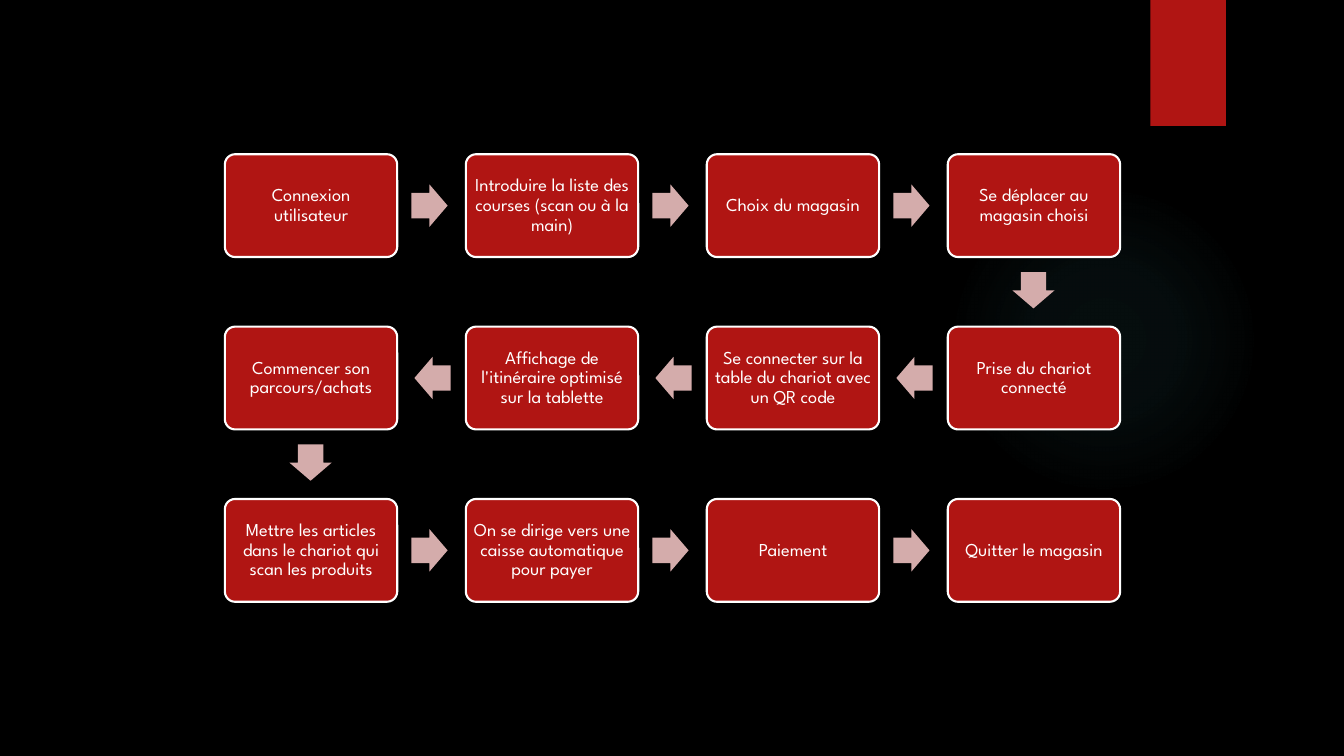
from lxml.etree import SubElement
from pptx import Presentation
from pptx.dml.color import RGBColor
from pptx.enum.shapes import MSO_SHAPE as Preset
from pptx.enum.text import MSO_ANCHOR as Anchor, PP_ALIGN as Align
from pptx.oxml import parse_xml
from pptx.oxml.ns import nsdecls, qn
from pptx.util import Inches, Pt

RED, PINK, WHITE, TEAL = "B01513", "D4ACAB", "FFFFFF", "50B9C1"
STEPS = [
    "Connexion utilisateur",
    "Introduire la liste des courses (scan ou à la main)",
    "Choix du magasin",
    "Se déplacer au magasin choisi",
    "Prise du chariot connecté",
    "Se connecter sur la table du chariot avec un QR code",
    "Affichage de l'itinéraire optimisé sur la tablette",
    "Commencer son parcours/achats",
    "Mettre les articles dans le chariot qui scan les produits",
    "On se dirige vers une caisse automatique pour payer",
    "Paiement",
    "Quitter le magasin",
]
COLUMNS = 4
LEFT, TOP = 2.23, 1.53
BOX_WIDTH, BOX_HEIGHT = 1.71, 1.02
COLUMN_PITCH, ROW_PITCH = 2.39, 1.71
# Rotation and offset from the box for each direction of flow
RIGHT_ARROW, LEFT_ARROW, DOWN_ARROW = (0, 1.85, 0.3), (180, -0.51, 0.3), (90, 0.67, 1.14)


def color(hex_code):
    return RGBColor.from_string(hex_code)


def add_plain_shape(preset, left, top, width, height, fill):
    """Add a shape with a solid fill, no outline and no shadow."""
    shape = page.shapes.add_shape(
        preset, Inches(left), Inches(top), Inches(width), Inches(height))
    shape.shadow.inherit = False
    shape.fill.solid()
    shape.fill.fore_color.rgb = color(fill)
    shape.line.fill.background()
    return shape


deck = Presentation()
deck.slide_width, deck.slide_height = Inches(13.33), Inches(7.5)
page = deck.slides.add_slide(deck.slide_layouts[6])
page.background.fill.solid()
page.background.fill.fore_color.rgb = color("000000")

# Faint round glow and corner ribbon
glow = add_plain_shape(Preset.OVAL, 9.41, 1.83, 3.08, 3.08, TEAL)
gradient = parse_xml(f'<a:gradFill {nsdecls("a")}><a:gsLst/><a:path path="circle">'
                     '<a:fillToRect l="50000" t="50000" r="50000" b="50000"/>'
                     '</a:path></a:gradFill>')
for position, opacity in [(0, 7), (36, 6), (69, 0)]:
    stop = SubElement(gradient[0], qn("a:gs"), pos=str(position * 1000))
    tint = SubElement(stop, qn("a:srgbClr"), val=TEAL)
    SubElement(tint, qn("a:alpha"), val=str(opacity * 1000))
solid = glow.element.spPr.find(qn("a:solidFill"))
glow.element.spPr.replace(solid, gradient)
add_plain_shape(Preset.RECTANGLE, 11.41, 0, 0.75, 1.25, RED)

# Steps snake through the grid: odd rows run from right to left
for index, step in enumerate(STEPS):
    row, column = divmod(index, COLUMNS)
    ends_row = column == COLUMNS - 1
    runs_left = row % 2 == 1
    if runs_left:
        column = COLUMNS - 1 - column
    left = LEFT + column * COLUMN_PITCH
    top = TOP + row * ROW_PITCH

    box = add_plain_shape(Preset.ROUNDED_RECTANGLE, left, top, BOX_WIDTH, BOX_HEIGHT, RED)
    box.adjustments[0] = 0.1
    box.line.color.rgb = color(WHITE)
    box.line.width = Pt(1.5)
    frame = box.text_frame
    frame.word_wrap = True
    frame.vertical_anchor = Anchor.MIDDLE
    frame.margin_left = frame.margin_right = Inches(0.05)
    frame.margin_top = frame.margin_bottom = Inches(0.05)
    para = frame.paragraphs[0]
    para.text = step
    para.alignment = Align.CENTER
    para.line_spacing = 0.9
    para.font.name = "League Spartan"
    para.font.size = Pt(13)
    para.font.color.rgb = color(WHITE)

    if index == len(STEPS) - 1:
        break
    if ends_row:
        rotation, shift_x, shift_y = DOWN_ARROW
    else:
        rotation, shift_x, shift_y = LEFT_ARROW if runs_left else RIGHT_ARROW
    arrow = add_plain_shape(
        Preset.RIGHT_ARROW, left + shift_x, top + shift_y, 0.36, 0.42, PINK)
    arrow.adjustments[0] = 0.6
    arrow.adjustments[1] = 0.5
    arrow.rotation = rotation

deck.save("out.pptx")
